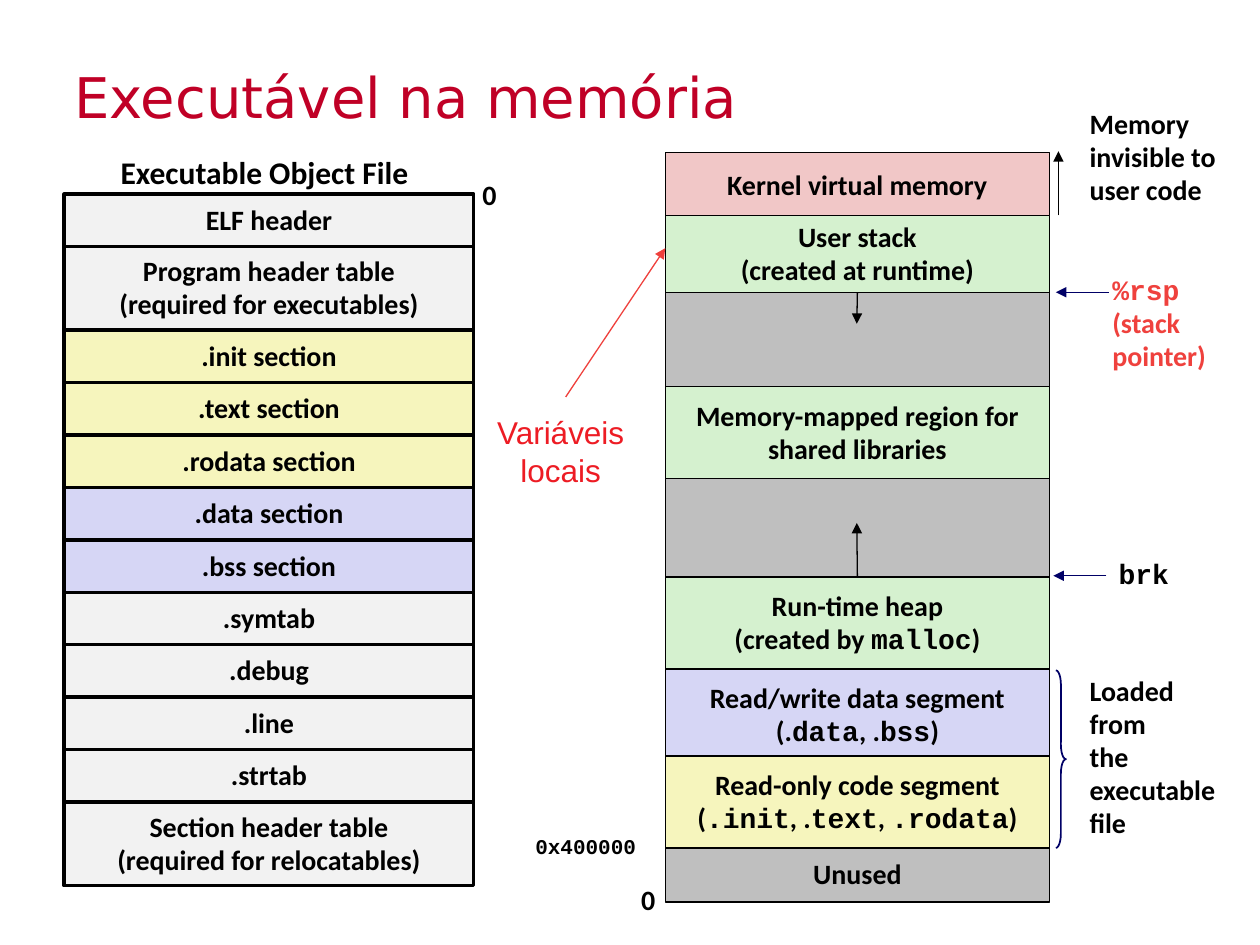
from itertools import cycle
from pptx import Presentation, util as u
from pptx.dml.color import RGBColor
from pptx.enum import shapes, text
from pptx.oxml import parse_xml
from pptx.oxml.ns import nsdecls, qn

THEME = {
    "gray": "F2F2F2", "yellow": "F6F5BD", "blue": "D6D6F5", "green": "D5F1CF",
    "pink": "F1C7C7", "empty": "BFBFBF", "black": "000000", "navy": "000066",
    "title": "C00026", "coral": "EF413D", "red": "ED1C24",
    "body": "Calibri", "mono": "Courier New", "heading": "DejaVu Sans", "plain": "Arial",
    "title_size": 32, "large": 18, "normal": 16, "small": 12,
}

# Text between backticks is set in the mono font
FILE_PARTS = [
    (["ELF header"], "gray"),
    (["Program header table", "(required for executables)"], "gray"),
    ([".init section"], "yellow"),
    ([".text section"], "yellow"),
    ([".rodata section"], "yellow"),
    ([".data section"], "blue"),
    ([".bss section"], "blue"),
    ([".symtab"], "gray"),
    ([".debug"], "gray"),
    ([".line"], "gray"),
    ([".strtab"], "gray"),
    (["Section header table", "(required for relocatables)"], "gray"),
]
FILE_LEFT, FILE_TOP, FILE_WIDTH = 0.51, 1.54, 3.25
FILE_ROW = {1: 0.416, 2: 0.665}  # row height by number of text lines

# name, lines, fill, height, part tucked under the next region
MEMORY_REGIONS = [
    ("kernel", ["Kernel virtual memory"], "pink", 0.5, 0.03),
    ("stack", ["User stack", "(created at runtime)"], "green", 0.61, 0),
    ("stack room", [], "empty", 0.75, 0),
    ("shared", ["Memory-mapped region for", "shared libraries"], "green", 0.73, 0),
    ("heap room", [], "empty", 0.78, 0),
    ("heap", ["Run-time heap", "(created by `malloc`)"], "green", 0.73, 0),
    ("data", ["Read/write data segment", "(.`data`, .`bss`)"], "blue", 0.69, 0.04),
    ("code", ["Read-only code segment", "(`.init`, .`text`, `.rodata`)"], "yellow", 0.73, 0),
    ("unused", ["Unused"], "empty", 0.43, 0),
]
MEMORY_LEFT, MEMORY_TOP, MEMORY_WIDTH = 5.28, 1.21, 3.05

# lines, (left, top, width, height), style that differs from the default
LABELS = [
    (["Executável na memória"], (0.49, 0.45, 9, 0.67),
     dict(size="title_size", font="heading", color="title", bold=False, spacing=1)),
    (["Executable Object File"], (0.38, 1.18, 3.44, 0.39), dict(size="large", centered=True)),
    (["0"], (3.73, 1.37, 0.31, 0.36), {}),
    (["0"], (4.99, 6.97, 0.31, 0.36), {}),
    (["`0x400000`"], (4.15, 6.58, 1.17, 0.22), dict(size="small", spacing=0.94)),
    (["Memory", "invisible to user code"], (8.55, 0.81, 1.44, 0.88), {}),
    (["`%rsp`", "(stack", "pointer)"], (8.73, 2.13, 1.24, 0.87), dict(color="coral")),
    (["`brk`"], (8.78, 4.39, 0.88, 0.33), dict(spacing=0.94)),
    (["Loaded", "from", "the", "executable", "file"], (8.55, 5.31, 1.24, 1.4), {}),
    (["Variáveis", "locais"], (3.76, 3.23, 1.38, 0.66),
     dict(size="large", font="plain", color="red", bold=False, centered=True, spacing=1)),
]

# start, end, colour, region and side where the arrow starts
ARROWS = [
    ((6.8, 2.32), (6.8, 2.57), "black", ("stack", 2)),
    ((6.8, 4.57), (6.8, 4.15), "black", ("heap", 0)),
    ((8.4, 1.71), (8.4, 1.2), "black", None),
    ((8.8, 2.32), (8.38, 2.32), "navy", None),
    ((8.78, 4.57), (8.36, 4.57), "navy", None),
    ((4.49, 3.15), (5.28, 1.97), "coral", None),
]


def color_of(name):
    return RGBColor.from_string(THEME[name])


def inches(values):
    return [u.Inches(value) for value in values]


def write(shape, lines, size="normal", font="body", color="black", bold=True,
          centered=False, spacing=0.98, anchor=text.MSO_ANCHOR.TOP):
    frame = shape.text_frame
    frame.word_wrap = True
    frame.vertical_anchor = anchor
    for index, line in enumerate(lines):
        para = frame.add_paragraph() if index else frame.paragraphs[0]
        para.alignment = text.PP_ALIGN.CENTER if centered else text.PP_ALIGN.LEFT
        para.line_spacing = spacing
        para.font.size = u.Pt(THEME[size])
        para.font.bold = bold
        para.font.color.rgb = color_of(color)
        para.font.name = THEME[font]
        for piece, face in zip(line.split("`"), cycle([font, "mono"])):
            if piece:
                span = para.add_run()
                span.text = piece
                if face != font:
                    span.font.name = THEME[face]


def add_block(page, place, lines, fill, line_width):
    box = page.shapes.add_shape(shapes.MSO_SHAPE.RECTANGLE, *inches(place))
    box.shadow.inherit = False
    box.fill.solid()
    box.fill.fore_color.rgb = color_of(fill)
    box.line.color.rgb = color_of("black")
    box.line.width = u.Pt(line_width)
    write(box, lines, centered=True, anchor=text.MSO_ANCHOR.MIDDLE)
    return box


def add_arrow(page, start, end, color, origin):
    arrow = page.shapes.add_connector(shapes.MSO_CONNECTOR.STRAIGHT, *inches(start + end))
    if origin:
        arrow.begin_connect(*origin)
    arrow.line.color.rgb = color_of(color)
    arrow.line.width = u.Pt(0.75)
    arrow.line._get_or_add_ln().append(
        parse_xml(f'<a:tailEnd {nsdecls("a")} type="triangle"/>'))
    properties = arrow._element.find(qn("p:spPr"))
    properties.append(parse_xml(f'<a:effectLst {nsdecls("a")}/>'))


def main():
    deck = Presentation()
    deck.slide_width, deck.slide_height = u.Inches(10), u.Inches(7.5)
    page = deck.slides.add_slide(deck.slide_layouts[6])

    # Sections of the object file
    top = FILE_TOP
    for lines, fill in FILE_PARTS:
        height = FILE_ROW[len(lines)]
        add_block(page, (FILE_LEFT, top, FILE_WIDTH, height), lines, fill, 2)
        top += height

    # Regions of the process memory
    regions = {}
    top = MEMORY_TOP
    for name, lines, fill, height, tucked in MEMORY_REGIONS:
        place = (MEMORY_LEFT, top, MEMORY_WIDTH, height + tucked)
        regions[name] = add_block(page, place, lines, fill, 0.75)
        top += height

    # Title and labels
    for lines, place, style in LABELS:
        write(page.shapes.add_textbox(*inches(place)), lines, **style)

    # Arrows
    for start, end, color, origin in ARROWS:
        joint = (regions[origin[0]], origin[1]) if origin else None
        add_arrow(page, start, end, color, joint)

    # Brace over the segments loaded from the file
    brace = page.shapes.add_shape(shapes.MSO_SHAPE.RIGHT_BRACE, *inches((8.38, 5.32, 0.08, 1.41)))
    brace.adjustments[0] = 1.42
    brace.shadow.inherit = False
    brace.fill.background()
    brace.line.color.rgb = color_of("navy")
    brace.line.width = u.Pt(1)

    deck.save("out.pptx")


if __name__ == "__main__":
    main()
